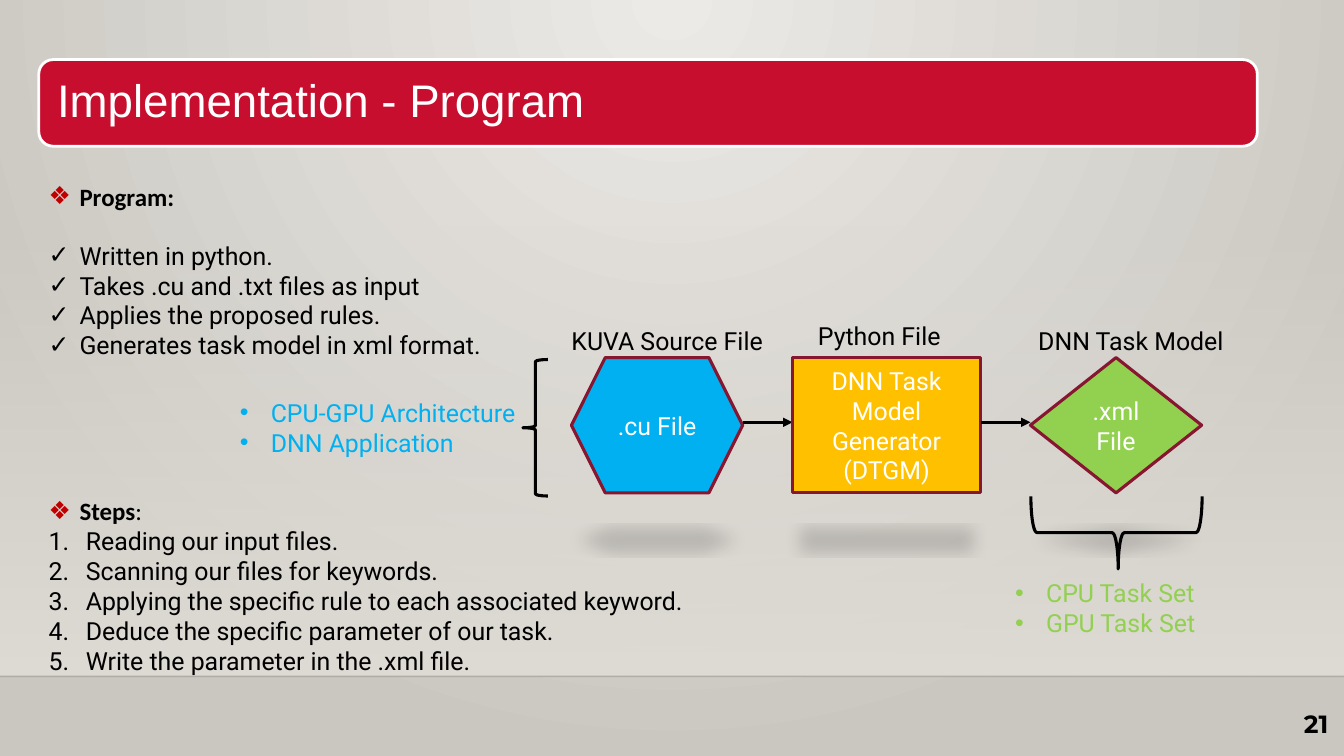
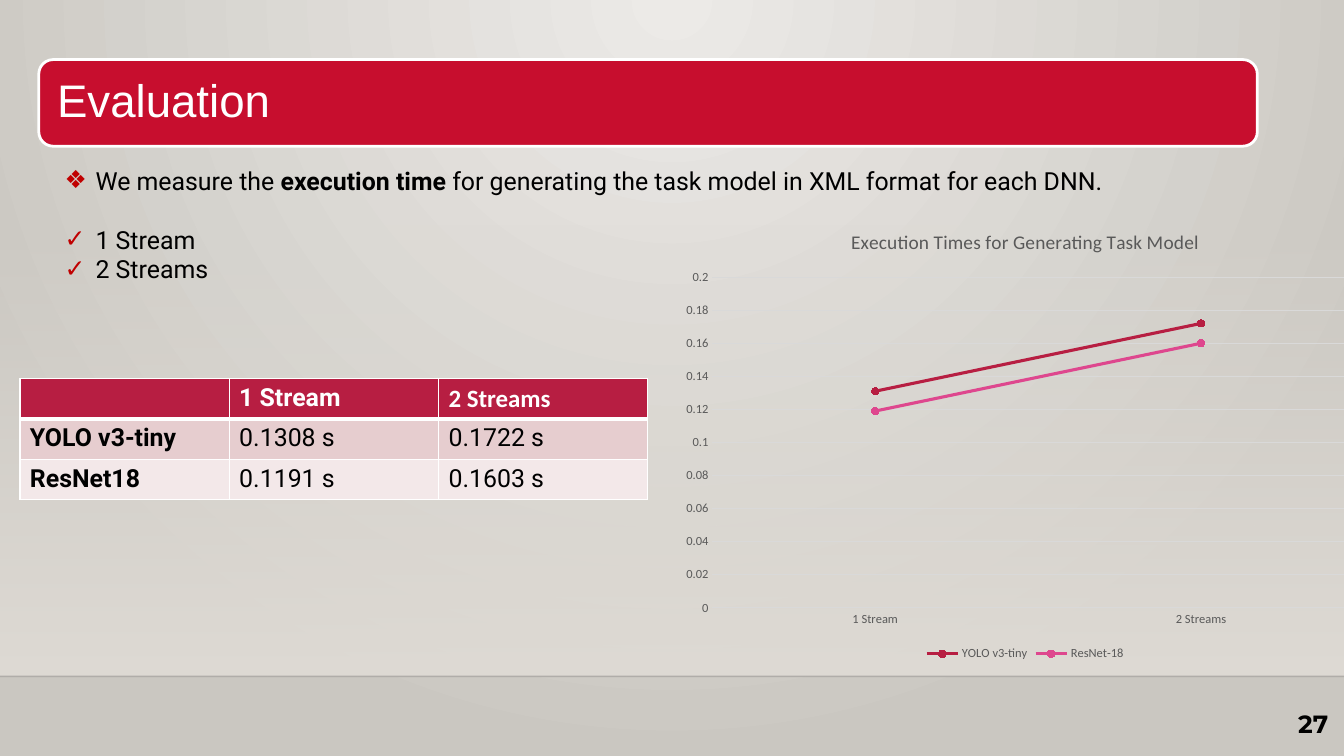
from dataclasses import dataclass

from lxml import etree
from pptx import Presentation
from pptx.chart.data import CategoryChartData
from pptx.dml.color import RGBColor
from pptx.enum.chart import XL_CHART_TYPE as CHART, XL_LEGEND_POSITION as LEGEND
from pptx.enum.chart import XL_MARKER_STYLE as MARKER, XL_TICK_MARK as TICK
from pptx.enum.shapes import MSO_CONNECTOR as CONN, MSO_SHAPE as SHAPE
from pptx.enum.text import PP_ALIGN as ALIGN
from pptx.oxml.ns import qn
from pptx.util import Cm, Pt

COLORS = {
    "light": "ECEAE7", "dark": "CAC7C1", "band": "DFDBD5", "rule": "000001",
    "title": "C70E2E", "bullet": "C00000", "edge": "871631",
    "black": "000000", "white": "FFFFFF", "grey": "595959", "grid": "D9D9D9",
    "blue": "00B0F0", "amber": "FFC000", "green": "92D050",
    "crimson": "B71E42", "pink": "DE478E", "row1": "E6CDCF", "row2": "F3E8E9",
}
BODY, HEAD = "Roboto", "Calibri"
WIDTH, HEIGHT = 34.29, 19.28
FLOOR = 17.25
NUMBERED = "1."


@dataclass
class Line:
    """A paragraph: its runs are plain text or (text, bold) pairs."""
    runs: str | list
    mark: str = ""
    mark_color: str = ""
    font: str = BODY
    gap: float = 0


# --- XML helpers -----------------------------------------------------------
def rgb(name):
    return RGBColor.from_string(COLORS[name])


def sub(parent, tag, **attrs):
    el = etree.SubElement(parent, qn(tag))
    for key, value in attrs.items():
        el.set(key, str(value))
    return el


def set_alpha(parent, percent):
    color = next(parent.iter(qn("a:srgbClr")))
    sub(color, "a:alpha", val=percent * 1000)


def set_gradient(fill, start, end):
    fill.gradient()
    for stop, name in zip(fill.gradient_stops, (start, end)):
        stop.color.rgb = rgb(name)


def set_bullet(p, line):
    indent = Cm(0.95 if line.mark == NUMBERED else 0.79)
    pPr = p._p.get_or_add_pPr()
    pPr.set("marL", str(indent))
    pPr.set("indent", str(-indent))
    if line.mark_color:
        sub(sub(pPr, "a:buClr"), "a:srgbClr", val=COLORS[line.mark_color])
    if line.mark == NUMBERED:
        sub(pPr, "a:buFont", typeface=BODY)
        sub(pPr, "a:buAutoNum", type="arabicPeriod")
    else:
        sub(pPr, "a:buFont", typeface="Arial")
        sub(pPr, "a:buChar", char=line.mark)


# --- Text ------------------------------------------------------------------
def set_font(font, name, size, color, bold=None):
    font.name, font.size, font.bold = name, Pt(size), bold
    font.color.rgb = rgb(color)


def write(tf, lines, color="black", align=ALIGN.LEFT):
    tf.word_wrap = True
    for i, line in enumerate(lines):
        p = tf.add_paragraph() if i else tf.paragraphs[0]
        if line.mark:
            set_bullet(p, line)
        p.alignment = align
        p.space_before = Pt(line.gap)
        set_font(p.font, line.font, 18, color)
        runs = [(line.runs, False)] if isinstance(line.runs, str) else line.runs
        for text, bold in runs:
            r = p.add_run()
            r.text = text
            if bold:
                r.font.bold = True


def add_text(s, box, lines, color="black", align=ALIGN.LEFT):
    tf = s.shapes.add_textbox(*map(Cm, box)).text_frame
    write(tf, lines, color, align)
    return tf


def bullets(texts, mark, mark_color="", gap=0):
    return [Line(t, mark, mark_color, gap=0 if i else gap)
            for i, t in enumerate(texts)]


# --- Shapes ----------------------------------------------------------------
def add_shape(s, kind, box, fill=None, line=None, width=2.25):
    sp = s.shapes.add_shape(kind, *map(Cm, box))
    sp.shadow.inherit = False
    if fill:
        sp.fill.solid()
        sp.fill.fore_color.rgb = rgb(fill)
    else:
        sp.fill.background()
    if line:
        sp.line.color.rgb = rgb(line)
        sp.line.width = Pt(width)
    else:
        sp.line.fill.background()
    return sp


def add_line(s, x1, x2, y, color="black", width=2.25, arrow=False):
    c = s.shapes.add_connector(CONN.STRAIGHT, Cm(x1), Cm(y), Cm(x2), Cm(y))
    c.line.color.rgb = rgb(color)
    c.line.width = Pt(width)
    if arrow:
        sub(c.line._get_or_add_ln(), "a:tailEnd", type="triangle")
    sub(c._element.spPr, "a:effectLst")
    return c


def add_node(s, kind, box, fill, text):
    sp = add_shape(s, kind, box, fill, "edge")
    write(sp.text_frame, [Line(text)], "white", ALIGN.CENTER)
    # Flattened shadow cast on the floor below the node
    effects = sp._element.spPr.find(qn("a:effectLst"))
    shadow = sub(effects, "a:outerShdw", blurRad=Pt(12), dist=Pt(25),
                 dir=5400000, sx=90000, sy=-19000, rotWithShape=0)
    sub(shadow, "a:srgbClr", val=COLORS["black"])
    set_alpha(shadow, 15)


# --- Shared slide frame ----------------------------------------------------
def set_background(master):
    set_gradient(master.background.fill, "light", "dark")
    grad = next(master.element.iter(qn("a:gradFill")))
    grad.remove(grad.find(qn("a:lin")))
    radial = sub(grad, "a:path", path="circle")
    sub(radial, "a:fillToRect", l=43000, t=0, r=43000, b=100000)


def new_slide(prs, title, number):
    s = prs.slides.add_slide(prs.slide_layouts[6])
    # Wall fading in above the floor line
    wall = add_shape(s, SHAPE.RECTANGLE, (0, 5.69, WIDTH, FLOOR - 5.69))
    set_gradient(wall.fill, "band", "band")
    wall.fill.gradient_angle = 270
    set_alpha(wall._element.spPr, 0)
    rule = add_line(s, 0, WIDTH, FLOOR, "rule", 1)
    set_alpha(rule._element.spPr, 20)
    # Title bar
    bar = add_shape(s, SHAPE.ROUNDED_RECTANGLE, (0.99, 1.52, 31.09, 2.21),
                    "title", "white", 2)
    tf = bar.text_frame
    tf.margin_left = tf.margin_right = Cm(0.36)
    p = tf.paragraphs[0]
    p.text, p.alignment, p.line_spacing = title, ALIGN.LEFT, 0.9
    set_font(p.font, "Arial", 33, "white")
    # Slide number
    tf = add_text(s, (32.08, 17.81, 2.06, 1.47),
                  [Line([(number, True)], font="Montserrat")],
                  align=ALIGN.RIGHT)
    tf.margin_top = tf.margin_bottom = Cm(0.25)
    return s


# --- Table and chart -------------------------------------------------------
def add_borders(cell, bottom):
    tcPr = cell._tc.get_or_add_tcPr()
    for side, width in (("L", 1), ("R", 1), ("T", 1), ("B", bottom)):
        ln = sub(tcPr, f"a:ln{side}", w=Pt(width))
        sub(sub(ln, "a:solidFill"), "a:srgbClr", val=COLORS["white"])


def add_times_table(s, box, rows):
    table = s.shapes.add_table(len(rows), len(rows[0]), *map(Cm, box)).table
    table.horz_banding = False
    fills = ("crimson", "row1", "row2")
    for i, row in enumerate(rows):
        for j, text in enumerate(row):
            cell = table.cell(i, j)
            add_borders(cell, 1 if i else 3)
            cell.fill.solid()
            cell.fill.fore_color.rgb = rgb(fills[i])
            p = cell.text_frame.paragraphs[0]
            p.text = text
            font = HEAD if (i, j) == (0, 2) else BODY
            set_font(p.font, font, 18, "black" if i else "white",
                     i == 0 or j == 0)


def add_times_chart(s, box, title, categories, series):
    data = CategoryChartData()
    data.categories = categories
    for name, values, _ in series:
        data.add_series(name, values)
    chart = s.shapes.add_chart(CHART.LINE_MARKERS, *map(Cm, box), data).chart
    set_font(chart.font, HEAD, 10, "black")
    p = chart.chart_title.text_frame.paragraphs[0]
    p.text = title
    set_font(p.font, HEAD, 14, "grey", False)
    chart.has_legend = True
    chart.legend.position = LEGEND.BOTTOM
    chart.legend.include_in_layout = False
    set_font(chart.legend.font, HEAD, 9, "grey")
    # Axes
    cat, val = chart.category_axis, chart.value_axis
    for axis in (cat, val):
        axis.major_tick_mark = axis.minor_tick_mark = TICK.NONE
        set_font(axis.tick_labels.font, HEAD, 9, "grey")
    val.minimum_scale, val.maximum_scale, val.major_unit = 0, 0.2, 0.02
    val.format.line.fill.background()
    for fmt in (cat.format, val.major_gridlines.format):
        fmt.line.color.rgb = rgb("grid")
        fmt.line.width = Pt(0.75)
    # Series
    plot = chart.plots[0]
    plot.vary_by_categories = False
    for ser, (_, _, color) in zip(plot.series, series):
        ser.smooth = False
        ser.format.line.width = Pt(2.25)
        ser.marker.style, ser.marker.size = MARKER.CIRCLE, 5
        ser.marker.format.fill.solid()
        ser.marker.format.fill.fore_color.rgb = rgb(color)
        for line in (ser.format.line, ser.marker.format.line):
            line.color.rgb = rgb(color)


# --- Slides ----------------------------------------------------------------
def program_slide(prs):
    s = new_slide(prs, "Implementation - Program", "21")
    add_text(s, (0.99, 4.5, 31.52, 5.64), [
        Line([("Program:", True)], "❖", "bullet", HEAD),
        *bullets(["Written in python.", "Takes .cu and .txt files as input",
                  "Applies the proposed rules.",
                  "Generates task model in xml format."], "✓", gap=21)])
    add_text(s, (0.99, 12.52, 21.64, 5.64), [
        Line([("Steps", True), (":", False)], "❖", "bullet", HEAD),
        *bullets(["Reading our input files.", "Scanning our files for keywords.",
                  "Applying the specific rule to each associated keyword.",
                  "Deduce the specific parameter of our task.",
                  "Write the parameter in the .xml file."], NUMBERED)])
    # Flow of nodes, joined by arrows across equal gaps
    x, top, height, gap = 14.58, 9.12, 3.45, 1.27
    nodes = [(SHAPE.HEXAGON, 4.37, "blue", ".cu File"),
             (SHAPE.RECTANGLE, 4.8, "amber", "DNN Task Model Generator (DTGM)"),
             (SHAPE.DIAMOND, 4.37, "green", ".xml File")]
    for i, (kind, width, fill, text) in enumerate(nodes):
        if i:
            add_line(s, x, x + gap, 10.77, arrow=True)
            x += gap
        add_node(s, kind, (x, top, width, height), fill, text)
        x += width
    for left, y, width, text in ((14.33, 8.18, 5.66, "KUVA Source File"),
                                 (20.62, 8.05, 4.01, "Python File"),
                                 (26.24, 8.18, 5.36, "DNN Task Model")):
        add_text(s, (left, y, width, 1.02), [Line(text)])
    # Inputs and outputs
    add_shape(s, SHAPE.LEFT_BRACE, (13.34, 9.17, 0.64, 3.48), line="black")
    add_text(s, (5.87, 10.01, 7.77, 1.8),
             bullets(["CPU-GPU Architecture", "DNN Application"], "•"), "blue")
    brace = add_shape(s, SHAPE.RIGHT_BRACE, (27.56, 11.4, 1.85, 4.37),
                      line="black")
    brace.rotation = 90
    brace.adjustments[1] = 0.49
    add_text(s, (25.65, 14.61, 7.42, 1.8),
             bullets(["CPU Task Set", "GPU Task Set"], "•"), "green")


def evaluation_slide(prs):
    s = new_slide(prs, "Evaluation", "27")
    streams = ["1 Stream", "2 Streams"]
    add_text(s, (1.4, 4.09, 31.52, 4.11), [
        Line([("We measure the ", False), ("execution time ", True),
              ("for generating the task model in XML format for each DNN.",
               False)], "❖", "bullet"),
        *bullets(streams, "✓", "bullet", gap=21)])
    add_times_chart(s, (17.15, 5.38, 18.01, 11.58),
                    "Execution Times for Generating Task Model", streams,
                    [("YOLO v3-tiny", (0.131, 0.172), "crimson"),
                     ("ResNet-18", (0.119, 0.16), "pink")])
    add_times_table(s, (0.51, 9.65, 16.02, 3.1), [
        ["", *streams],
        ["YOLO v3-tiny", "0.1308 s", "0.1722 s"],
        ["ResNet18", "0.1191 s", "0.1603 s"]])


def main():
    prs = Presentation()
    prs.slide_width, prs.slide_height = Cm(WIDTH), Cm(HEIGHT)
    set_background(prs.slide_master)
    program_slide(prs)
    evaluation_slide(prs)
    prs.save("out.pptx")


if __name__ == "__main__":
    main()
